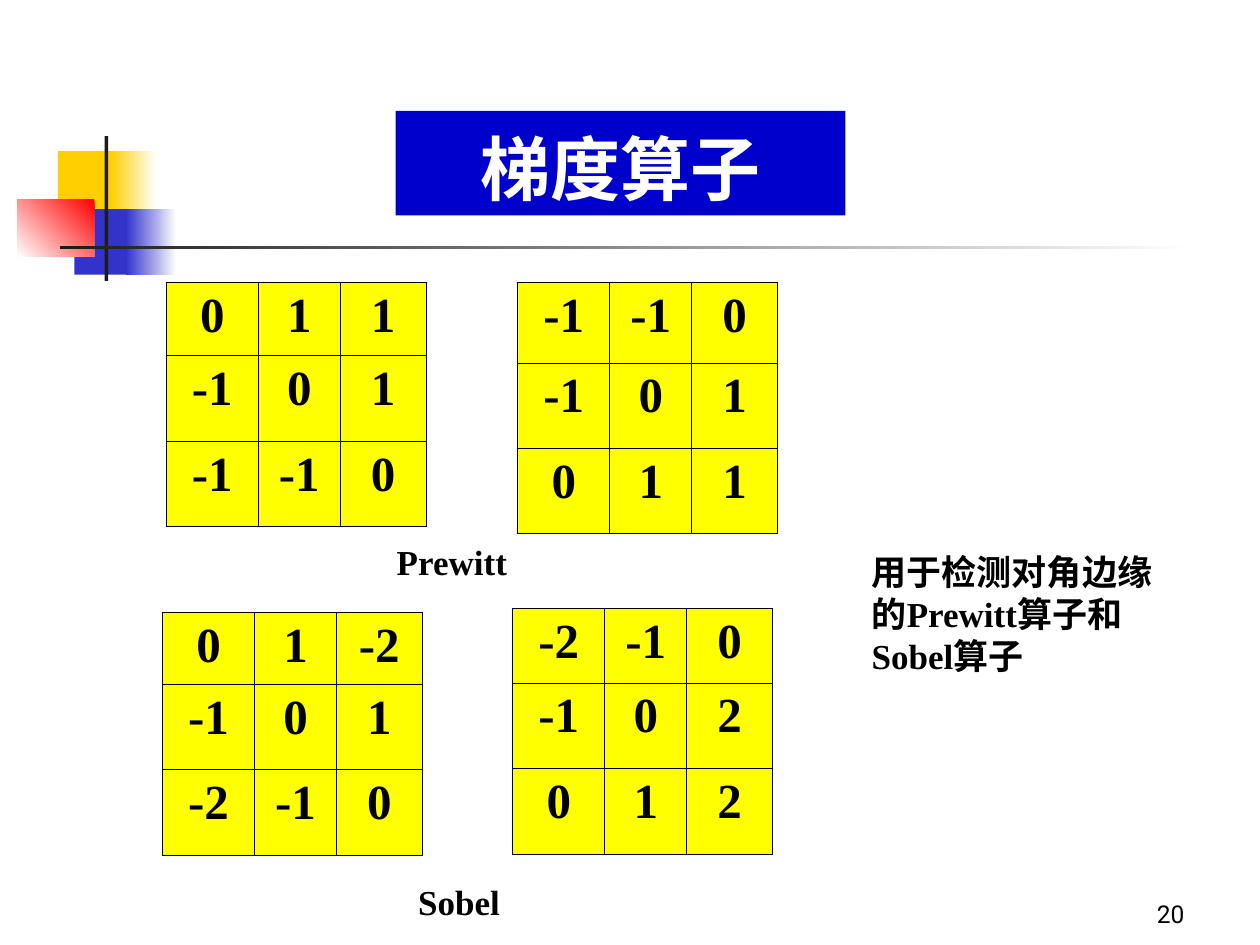
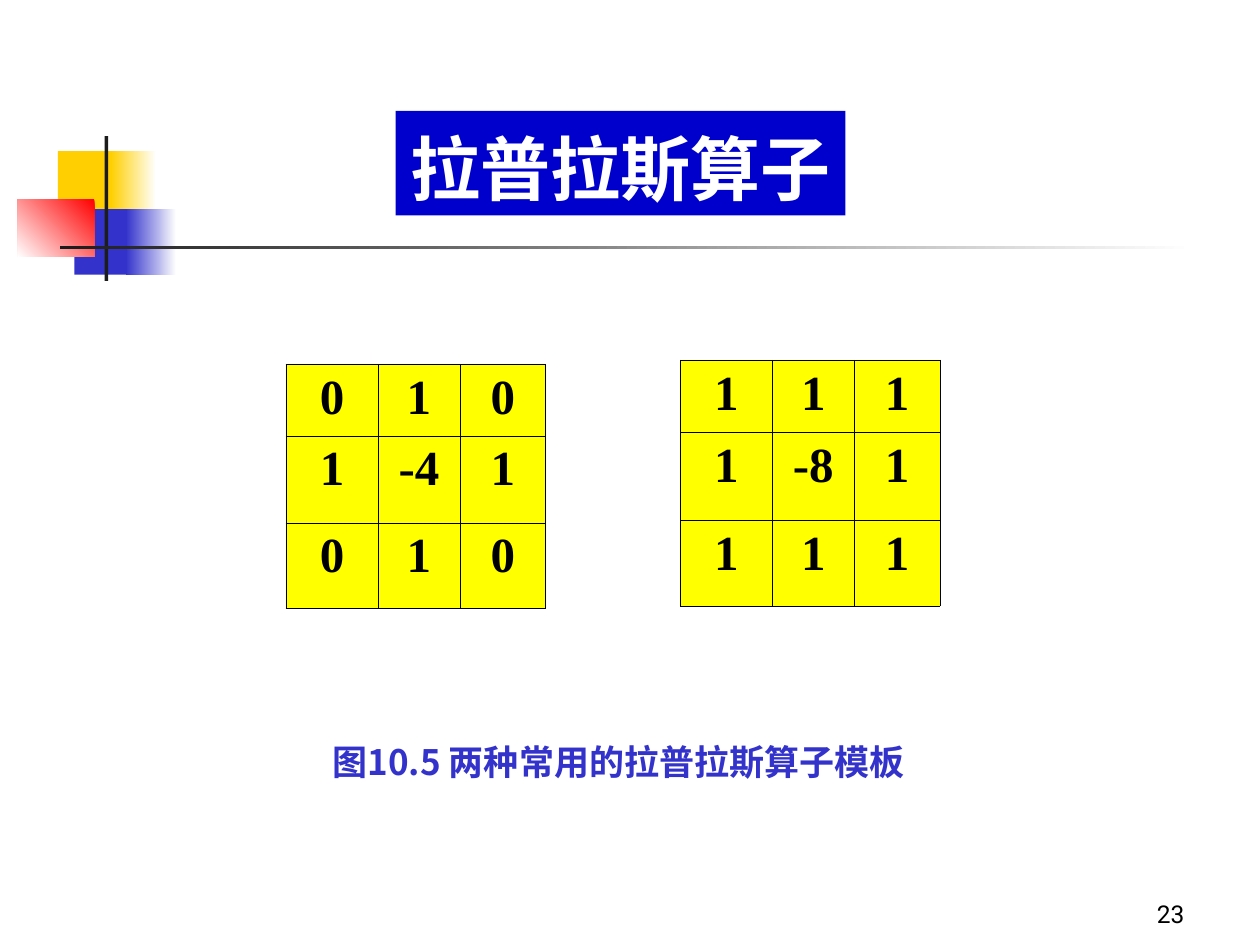
from dataclasses import dataclass

from lxml import etree
from pptx import Presentation
from pptx.dml.color import RGBColor
from pptx.enum.shapes import MSO_SHAPE
from pptx.enum.text import MSO_ANCHOR, MSO_AUTO_SIZE, PP_ALIGN
from pptx.oxml.ns import qn
from pptx.util import Inches, Pt

RECTANGLE = MSO_SHAPE.RECTANGLE
TOP, BOTTOM = MSO_ANCHOR.TOP, MSO_ANCHOR.BOTTOM
LEFT, CENTER, RIGHT = PP_ALIGN.LEFT, PP_ALIGN.CENTER, PP_ALIGN.RIGHT
FIXED, GROW = MSO_AUTO_SIZE.NONE, MSO_AUTO_SIZE.SHAPE_TO_FIT_TEXT


@dataclass(frozen=True)
class Theme:
    white: str = "FFFFFF"
    black: str = "000000"
    ink: str = "1C1C1C"
    gold: str = "FFCF01"
    blue: str = "3333CC"
    red: str = "FF0000"
    title_band: str = "0000CC"
    cell: str = "FFFF00"
    sans: str = "Roboto"
    serif: str = "Times New Roman"
    cjk: str = "Noto Sans CJK SC"
    title_size: int = 40
    kernel_size: int = 28
    text_size: int = 20
    number_size: int = 14
    border: float = 0.45


THEME = Theme()

TITLE_BOX = (3.14, 0.88, 3.57, 0.83)
NUMBER_BOX = (7.42, 6.92, 2.08, 0.5)
KERNEL_COLUMNS = (0.73, 0.65, 0.68)

ORNAMENT = [
    ((0.46, 1.2, 0.48, 0.52), (THEME.gold,), 0),
    ((0.88, 1.2, 0.36, 0.52), (THEME.white, THEME.gold), 180),
    ((0.59, 1.66, 0.46, 0.52), (THEME.blue,), 0),
    ((1, 1.66, 0.4, 0.52), (THEME.white, THEME.blue), 180),
    ((0.14, 1.58, 0.61, 0.46), (THEME.red, THEME.white), 225),
    ((0.83, 1.08, 0.03, 1.15), (THEME.ink,), 0),
    ((0.48, 1.95, 9, 0.03), (THEME.white, THEME.ink), 180),
]

SLIDES = [
    {
        "title": "梯度算子",
        "title_font": THEME.sans,
        "number": "20",
        "kernels": [
            ((1.32, 2.24), (0.58, 0.68, 0.68), ["0 1 1", "-1 0 1", "-1 -1 0"]),
            ((4.11, 2.24), (0.64, 0.68, 0.67), ["-1 -1 0", "-1 0 1", "0 1 1"]),
            ((1.29, 4.86), (0.57, 0.68, 0.68), ["0 1 -2", "-1 0 1", "-2 -1 0"]),
            ((4.07, 4.83), (0.59, 0.68, 0.68), ["-2 -1 0", "-1 0 2", "0 1 2"]),
        ],
        "captions": [
            ("Prewitt", (3.05, 4.24, 1.15, 0.44), THEME.serif, THEME.black, False),
            ("Sobel", (3.22, 6.94, 0.92, 0.44), THEME.serif, THEME.black, False),
            ("用于检测对角边缘的Prewitt算子和Sobel算子",
             (6.82, 4.32, 2.62, 1.1), THEME.serif, THEME.black, True),
        ],
    },
    {
        "title": "拉普拉斯算子",
        "title_font": THEME.cjk,
        "number": "23",
        "kernels": [
            ((2.27, 2.89), (0.57, 0.69, 0.68), ["0 1 0", "1 -4 1", "0 1 0"]),
            ((5.4, 2.86), (0.57, 0.7, 0.68), ["1 1 1", "1 -8 1", "1 1 1"]),
        ],
        "captions": [
            ("图10.5 两种常用的拉普拉斯算子模板",
             (2.54, 5.83, 5.96, 0.44), THEME.cjk, THEME.blue, True),
        ],
    },
]


def inches(values):
    return [Inches(value) for value in values]


def paint(fill, color):
    fill.solid()
    fill.fore_color.rgb = RGBColor.from_string(color)


def write(frame, text, font, size, color, bold=True, align=LEFT):
    frame.text = text
    paragraph = frame.paragraphs[0]
    paragraph.alignment = align
    paragraph.font.name = font
    paragraph.font.size = Pt(size)
    paragraph.font.bold = bold
    paragraph.font.color.rgb = RGBColor.from_string(color)


def arrange(frame, anchor=TOP, wrap=True, fit=GROW):
    frame.auto_size = fit
    frame.word_wrap = wrap
    frame.vertical_anchor = anchor


def add_ornament(slide, layout):
    for depth, (box, colors, angle) in enumerate(ORNAMENT, start=2):
        block = slide.shapes.add_shape(RECTANGLE, *inches(box))
        block.shadow.inherit = False
        block.line.fill.background()
        if len(colors) == 1:
            paint(block.fill, colors[0])
        else:
            block.fill.gradient()
            block.fill.gradient_angle = angle
            for stop, color in zip(block.fill.gradient_stops, colors):
                stop.color.rgb = RGBColor.from_string(color)
        layout.shapes.element.insert(depth, block.element)


def add_title(slide, text, font):
    title = slide.shapes.title
    title.left, title.top, title.width, title.height = inches(TITLE_BOX)
    paint(title.fill, THEME.title_band)
    arrange(title.text_frame, BOTTOM, fit=FIXED)
    write(title.text_frame, text, font, THEME.title_size, THEME.white, align=CENTER)


def add_text(slide, text, box, font, color, wrap):
    frame = slide.shapes.add_textbox(*inches(box)).text_frame
    arrange(frame, wrap=wrap)
    write(frame, text, font, THEME.text_size, color)


def add_number(slide, number):
    frame = slide.shapes.add_textbox(*inches(NUMBER_BOX)).text_frame
    arrange(frame, BOTTOM, fit=FIXED)
    write(frame, number, THEME.sans, THEME.number_size, THEME.black, False, RIGHT)


def outline(cell):
    properties = cell._tc.get_or_add_tcPr()
    for index, side in enumerate(("lnL", "lnR", "lnT", "lnB")):
        line = etree.Element(qn(f"a:{side}"), w=str(Pt(THEME.border)))
        ink = etree.SubElement(line, qn("a:solidFill"))
        etree.SubElement(ink, qn("a:srgbClr"), val=THEME.black)
        properties.insert(index, line)


def add_kernel(slide, corner, heights, rows):
    size = (sum(KERNEL_COLUMNS), sum(heights))
    kernel = slide.shapes.add_table(
        len(rows), len(KERNEL_COLUMNS), *inches(corner + size)).table
    kernel.first_row = kernel.horz_banding = False
    for column, width in zip(kernel.columns, KERNEL_COLUMNS):
        column.width = Inches(width)
    for row, height, weights in zip(kernel.rows, heights, rows):
        row.height = Inches(height)
        for cell, weight in zip(row.cells, weights.split()):
            outline(cell)
            paint(cell.fill, THEME.cell)
            write(cell.text_frame, weight, THEME.serif, THEME.kernel_size,
                  THEME.black, align=CENTER)


def main():
    deck = Presentation()
    deck.slide_width, deck.slide_height = Inches(10), Inches(7.5)
    layout = deck.slide_layouts.get_by_name("Title Only")
    for position, content in enumerate(SLIDES):
        slide = deck.slides.add_slide(layout)
        if position == 0:
            add_ornament(slide, layout)
        add_title(slide, content["title"], content["title_font"])
        for kernel in content["kernels"]:
            add_kernel(slide, *kernel)
        for caption in content["captions"]:
            add_text(slide, *caption)
        add_number(slide, content["number"])
    deck.save("out.pptx")


if __name__ == "__main__":
    main()
